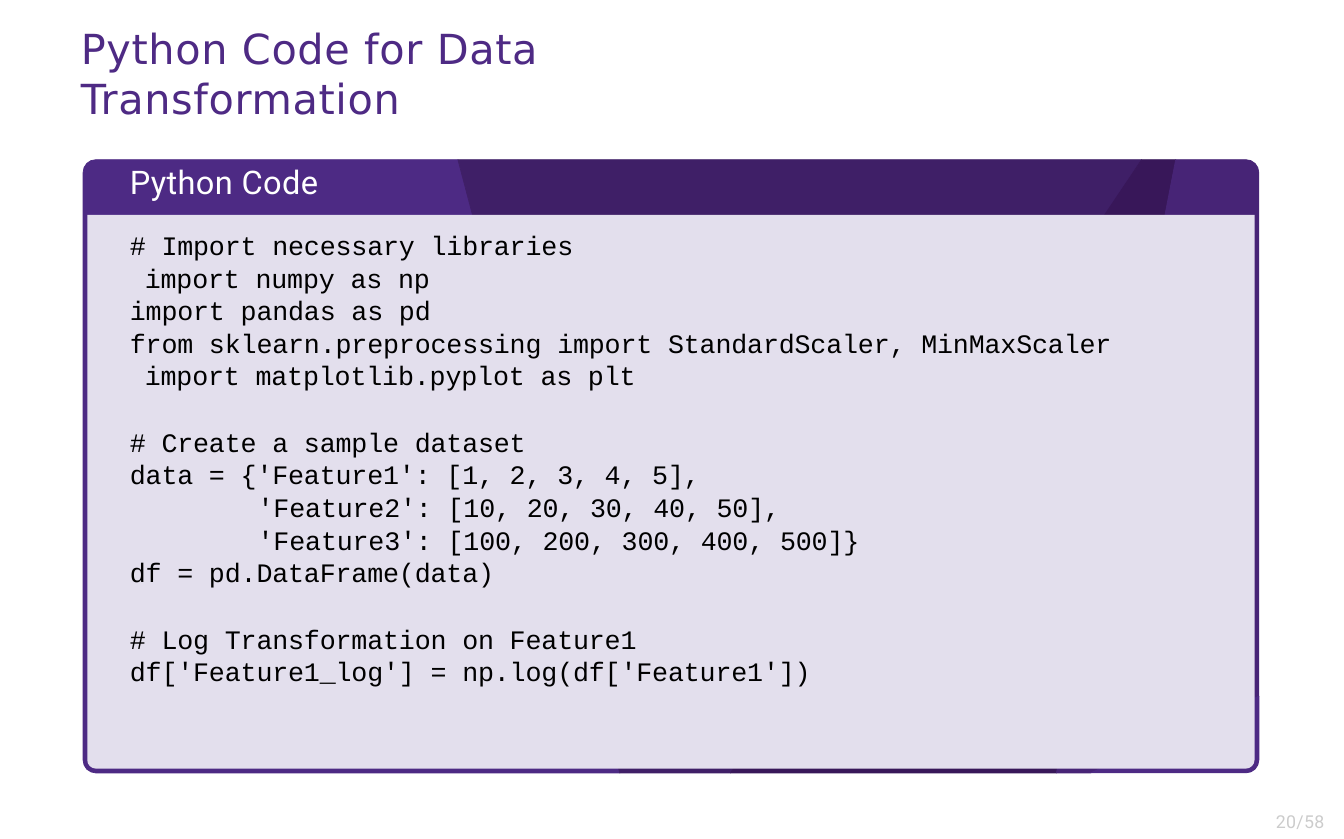
import math

from pptx import Presentation
from pptx import util as u
from pptx.dml.color import RGBColor
from pptx.enum import text as t

LEFT, TOP, RIGHT, BOTTOM = 0.39, 0.75, 5.91, 3.63
PURPLE = "4D2A84"
BLANK_LINE = 11.5
CODE = [
    ("# Import necessary libraries", 0.01, 9.4),
    ("import numpy as np", 0.08, 0),
    ("import pandas as pd", 0.01, 0),
    ("from sklearn.preprocessing import StandardScaler, MinMaxScaler", 0.01, 0),
    ("import matplotlib.pyplot as plt", 0.08, 0),
    ("# Create a sample dataset", 0.01, BLANK_LINE),
    ("data = {'Feature1': [1, 2, 3, 4, 5],", 0.01, 0),
    ("'Feature2': [10, 20, 30, 40, 50],", 0.61, 0),
    ("'Feature3': [100, 200, 300, 400, 500]}", 0.61, 0),
    ("df = pd.DataFrame(data)", 0.01, 0),
    ("# Log Transformation on Feature1", 0.01, BLANK_LINE),
    ("df['Feature1_log'] = np.log(df['Feature1'])", 0.01, 0),
]


def color(value):
    return RGBColor.from_string(value)


def corner(x, y, radius, start):
    cx = x + (radius if 90 <= start < 270 else -radius)
    cy = y + (radius if start >= 180 else -radius)
    angles = [math.radians(start + step * 22.5) for step in range(5)]
    return [(cx + radius * math.cos(a), cy + radius * math.sin(a)) for a in angles]


def add_facet(slide, points, fill, outlined=True):
    points = [(u.Inches(x), u.Inches(y)) for x, y in points]
    builder = slide.shapes.build_freeform(*points[0])
    builder.add_line_segments(points[1:], close=True)
    facet = builder.convert_to_shape()
    facet.shadow.inherit = False
    facet.fill.solid()
    facet.fill.fore_color.rgb = color(fill)
    if outlined:
        facet.line.color.rgb = color(fill)
        facet.line.width = u.Pt(0.25)
    else:
        facet.line.fill.background()


def add_panel(slide):
    add_facet(slide, corner(LEFT, BOTTOM, 0.06, 90) + corner(LEFT, TOP, 0.06, 180)
              + [(2.15, TOP), (2.91, BOTTOM)], PURPLE)
    add_facet(slide, [(2.15, TOP), (2.91, BOTTOM), (3.43, BOTTOM), (5.36, TOP)], "3F1F67")
    add_facet(slide, [(3.43, BOTTOM), (5.36, TOP), (5.52, TOP), (4.96, BOTTOM)], "381759")
    add_facet(slide, [(4.96, BOTTOM), (5.52, TOP)] + corner(RIGHT, TOP, 0.06, 270)
              + [(RIGHT, 3.27), (5.12, BOTTOM)], "472476")
    add_facet(slide, [(5.12, BOTTOM), (RIGHT, 3.27)] + corner(RIGHT, BOTTOM, 0.06, 0), PURPLE)
    add_facet(slide, [(0.41, 1.01), (5.89, 1.01)] + corner(5.89, 3.61, 0.04, 0)
              + corner(0.41, 3.61, 0.04, 90), "E3DFED", outlined=False)


def set_frame(frame, top_inset):
    frame.word_wrap = True
    frame.auto_size = t.MSO_AUTO_SIZE.NONE
    frame.vertical_anchor = t.MSO_ANCHOR.TOP
    frame.margin_left = frame.margin_right = frame.margin_bottom = 0
    frame.margin_top = u.Inches(top_inset)


def add_text_area(slide, left, top, width, height):
    area = slide.shapes.add_textbox(*map(u.Inches, (left, top, width, height)))
    set_frame(area.text_frame, 0.01)
    return area.text_frame


def write(paragraph, content, font, size, ink, before=0, indent=0.01, spacing=0.1):
    paragraph.text = content
    paragraph.alignment = t.PP_ALIGN.LEFT
    paragraph.space_before = u.Pt(before)
    paragraph.font.name = font
    paragraph.font.size = u.Pt(size)
    paragraph.font.color.rgb = color(ink)
    properties = paragraph._p.get_or_add_pPr()
    properties.set("marL", str(u.Inches(indent)))
    properties.set("indent", "0")
    for run in paragraph.runs:
        run._r.get_or_add_rPr().set("spc", str(round(spacing * 100)))


def add_title(slide):
    title = slide.shapes.title
    title.left, title.top = u.Inches(0.37), u.Inches(0.09)
    title.width, title.height = u.Inches(3.66), u.Inches(0.5)
    set_frame(title.text_frame, 0.02)
    write(title.text_frame.paragraphs[0], "Python Code for Data Transformation",
          "DejaVu Sans", 14, "4E2A84", before=1.4, spacing=0.2)


def add_code(slide):
    listing = add_text_area(slide, 0.6, 0.75, 4.75, 2.6)
    write(listing.paragraphs[0], "Python Code", "Roboto", 11, "FFFFFF", before=0.9)
    for content, indent, before in CODE:
        line = listing.add_paragraph()
        write(line, content, "Courier New", 9, "000000", before, indent, -0.05)
        line.line_spacing = u.Pt(11)


def add_page_number(slide):
    page = add_text_area(slide, 5.95, 3.8, 0.34, 0.13)
    write(page.paragraphs[0], "20/58", "Roboto", 6, "CCCCCC", before=0.6, indent=0.04)


def main():
    deck = Presentation()
    deck.slide_width, deck.slide_height = u.Inches(6.31), u.Inches(3.94)
    slide = deck.slides.add_slide(deck.slide_layouts[5])
    add_title(slide)
    add_panel(slide)
    add_code(slide)
    add_page_number(slide)
    deck.save("out.pptx")


if __name__ == "__main__":
    main()
